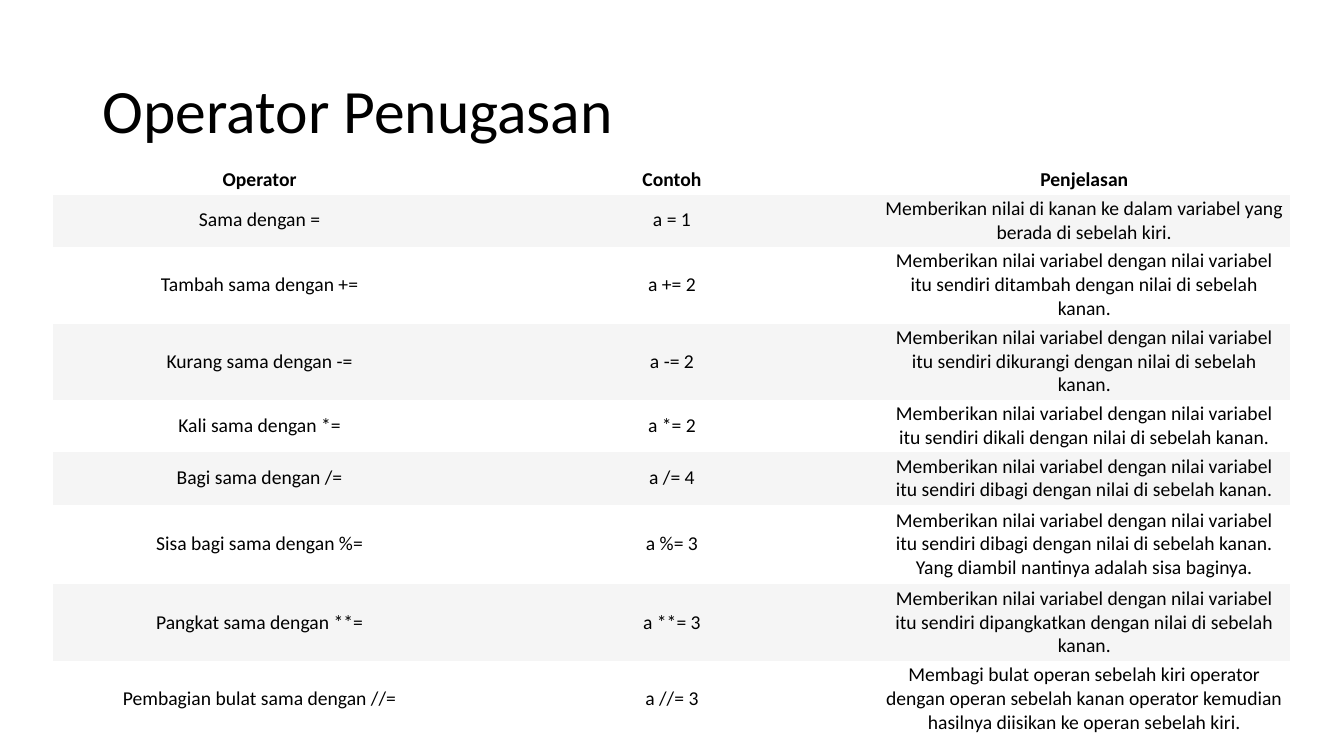
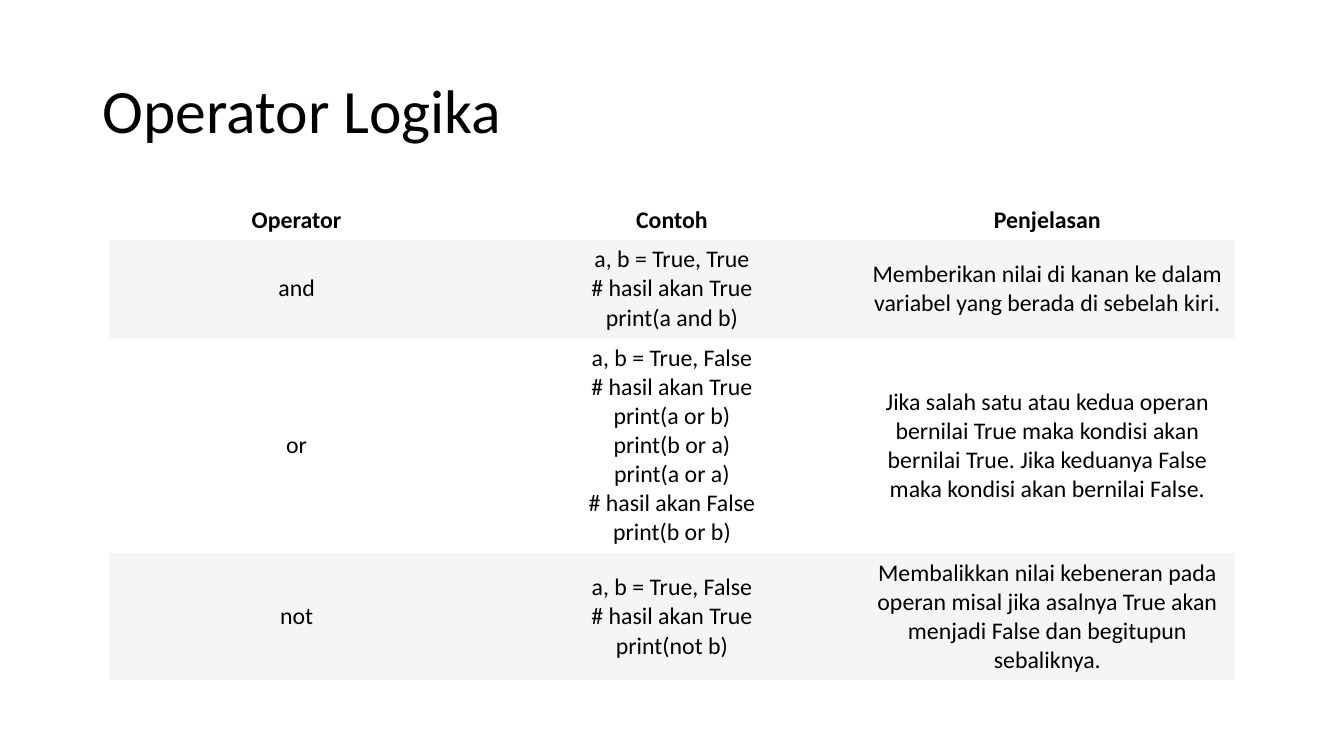
from pptx import Presentation
from pptx.dml.color import RGBColor
from pptx.enum.text import MSO_ANCHOR, PP_ALIGN
from pptx.oxml.ns import qn
from pptx.util import Inches, Pt

MIDDLE = MSO_ANCHOR.MIDDLE
LEFT, CENTER = PP_ALIGN.LEFT, PP_ALIGN.CENTER
FONT_NAME = "Calibri"
TEXT_COLOR = "000000"
BAND_COLORS = ("FFFFFF", "F5F5F5")
PLAIN_TABLE_STYLE = "{2D5ABB26-0587-4C30-8999-92F81FD0307C}"
TITLE_BOX = (0.92, 0.4, 11.5, 1.45)
HEADER = ("Operator", "Contoh", "Penjelasan")
OWN_VALUE = "Memberikan nilai variabel dengan nilai variabel itu sendiri"
RIGHT_VALUE = "dengan nilai di sebelah kanan."
ASSIGN = "Memberikan nilai di kanan ke dalam variabel yang berada di sebelah kiri."

ASSIGNMENT_ROWS = (
    HEADER,
    ("Sama dengan =", "a = 1", ASSIGN),
    ("Tambah sama dengan +=", "a += 2", f"{OWN_VALUE} ditambah {RIGHT_VALUE}"),
    ("Kurang sama dengan -=", "a -= 2", f"{OWN_VALUE} dikurangi {RIGHT_VALUE}"),
    ("Kali sama dengan *=", "a *= 2", f"{OWN_VALUE} dikali {RIGHT_VALUE}"),
    ("Bagi sama dengan /=", "a /= 4", f"{OWN_VALUE} dibagi {RIGHT_VALUE}"),
    ("Sisa bagi sama dengan %=", "a %= 3",
     f"{OWN_VALUE} dibagi {RIGHT_VALUE} Yang diambil nantinya adalah sisa baginya."),
    ("Pangkat sama dengan **=", "a **= 3", f"{OWN_VALUE} dipangkatkan {RIGHT_VALUE}"),
    ("Pembagian bulat sama dengan //=", "a //= 3",
     "Membagi bulat operan sebelah kiri operator dengan operan sebelah kanan "
     "operator kemudian hasilnya diisikan ke operan sebelah kiri."),
)

LOGIC_ROWS = (
    HEADER,
    ("and", "a, b = True, True\n# hasil akan True\nprint(a and b)", ASSIGN),
    ("or",
     "a, b = True, False\n# hasil akan True\nprint(a or b)\nprint(b or a)\n"
     "print(a or a)\n# hasil akan False\nprint(b or b)",
     "Jika salah satu atau kedua operan bernilai True maka kondisi akan bernilai "
     "True. Jika keduanya False maka kondisi akan bernilai False."),
    ("not", "a, b = True, False\n# hasil akan True\nprint(not b)",
     "Membalikkan nilai kebeneran pada operan misal jika asalnya True akan "
     "menjadi False dan begitupun sebaliknya."),
)


def color(value):
    """Return the colour for a hex string."""
    return RGBColor.from_string(value)


def set_attributes(target, values):
    """Set each named attribute on the target."""
    for name, value in values.items():
        setattr(target, name, value)


def write_text(text_frame, text, size, bold=False, alignment=LEFT, line_spacing=1.0):
    """Write each line of text as a formatted paragraph."""
    text_frame.text = text
    for paragraph in text_frame.paragraphs:
        set_attributes(paragraph, {"alignment": alignment, "line_spacing": line_spacing})
        for run in paragraph.runs:
            set_attributes(run.font, {"name": FONT_NAME, "size": Pt(size), "bold": bold})
            run.font.color.rgb = color(TEXT_COLOR)


def add_titled_slide(presentation, title):
    """Add a blank slide with the shared title style."""
    slide = presentation.slides.add_slide(presentation.slide_layouts[6])
    text_frame = slide.shapes.add_textbox(*map(Inches, TITLE_BOX)).text_frame
    set_attributes(text_frame, {"word_wrap": True, "vertical_anchor": MIDDLE})
    write_text(text_frame, title, 44, line_spacing=0.9)
    return slide


def format_cell(cell, fill, side_margin, top_margin, bottom_margin):
    """Set the fill, margins and anchor of a cell."""
    cell.fill.solid()
    cell.fill.fore_color.rgb = color(fill)
    set_attributes(cell, {
        "vertical_anchor": MIDDLE,
        "margin_left": Inches(side_margin),
        "margin_right": Inches(side_margin),
        "margin_top": Inches(top_margin),
        "margin_bottom": Inches(bottom_margin),
    })


def add_banded_table(slide, rows, position, heights, size, margins):
    """Add a centred table with a bold header and alternating row fills."""
    left, top, width = position
    frame = slide.shapes.add_table(
        len(rows), len(HEADER), Inches(left), Inches(top), Inches(width), Inches(sum(heights)))
    frame.element.find(f".//{qn('a:tableStyleId')}").text = PLAIN_TABLE_STYLE
    table = frame.table
    for row_index, (texts, height) in enumerate(zip(rows, heights)):
        table.rows[row_index].height = Inches(height)
        for column_index, text in enumerate(texts):
            cell = table.cell(row_index, column_index)
            format_cell(cell, BAND_COLORS[row_index % 2], *margins)
            write_text(cell.text_frame, text, size, bold=row_index == 0, alignment=CENTER)


def main():
    """Build and save the presentation."""
    presentation = Presentation()
    set_attributes(presentation, {"slide_width": Inches(13.33), "slide_height": Inches(7.5)})
    slide = add_titled_slide(presentation, "Operator Penugasan")
    add_banded_table(slide, ASSIGNMENT_ROWS, (0.53, 1.64, 12.27),
                     (0.29, 0.52, 0.76, 0.76, 0.52, 0.52, 0.79, 0.76, 0.76),
                     14, (0.05, 0.02, 0.03))
    slide = add_titled_slide(presentation, "Operator Logika")
    add_banded_table(slide, LOGIC_ROWS, (1.08, 1.99, 11.17),
                     (0.39, 0.97, 2.14, 1.26), 17, (0.1, 0.05, 0.05))
    presentation.save("out.pptx")


if __name__ == "__main__":
    main()
